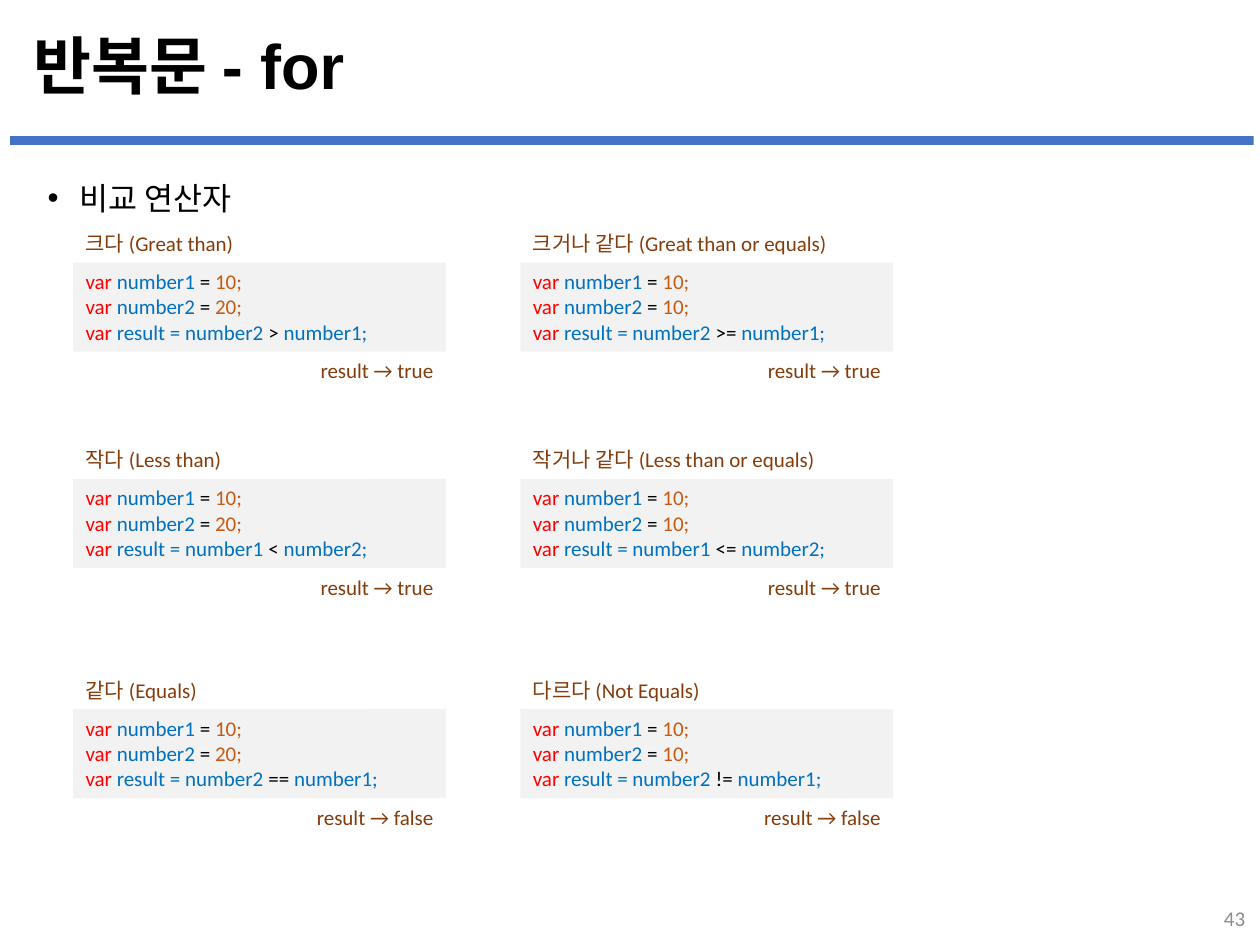
from lxml import etree
from pptx import Presentation
from pptx.dml.color import RGBColor
from pptx.enum.shapes import MSO_SHAPE
from pptx.enum.text import MSO_ANCHOR, PP_ALIGN
from pptx.oxml.ns import qn
from pptx.util import Pt

RECT = MSO_SHAPE.RECTANGLE
TOP, MIDDLE = MSO_ANCHOR.TOP, MSO_ANCHOR.MIDDLE
LEFT, RIGHT = PP_ALIGN.LEFT, PP_ALIGN.RIGHT

BLACK = RGBColor(0x00, 0x00, 0x00)
WHITE = RGBColor(0xFF, 0xFF, 0xFF)
BLUE = RGBColor(0x44, 0x72, 0xC4)
PALE_GRAY = RGBColor(0xF2, 0xF2, 0xF2)
GRAY = RGBColor(0x8C, 0x8C, 0x8C)
BROWN = RGBColor(0x84, 0x3C, 0x0B)
KEYWORD = RGBColor(0xFF, 0x00, 0x00)
NAME = RGBColor(0x00, 0x70, 0xC0)
NUMBER = RGBColor(0xC5, 0x5A, 0x11)

prs = Presentation()
prs.slide_width, prs.slide_height = Pt(720), Pt(540)
slide = prs.slides.add_slide(prs.slide_layouts[6])


def add_box(left, top, width, height, fill=None):
    """Add a plain rectangle, or a text box when there is no fill."""
    place = [Pt(v) for v in (left, top, width, height)]
    if fill is None:
        return slide.shapes.add_textbox(*place)
    box = slide.shapes.add_shape(RECT, *place)
    box.shadow.inherit = False
    box.fill.solid()
    box.fill.fore_color.rgb = fill
    box.line.fill.background()
    return box


def write(box, lines, align=LEFT, anchor=TOP, **format_values):
    """Write lines, each a list of (text, colour) runs."""
    frame = box.text_frame
    frame.word_wrap = True
    frame.vertical_anchor = anchor
    font_values = {"name": "Calibri", "size": Pt(12), **format_values}
    for i, line in enumerate(lines):
        paragraph = frame.paragraphs[0] if i == 0 else frame.add_paragraph()
        paragraph.alignment = align
        for text, color in line:
            run = paragraph.add_run()
            run.text = text
            run.font.color.rgb = color
            for key, value in font_values.items():
                setattr(run.font, key, value)
    return frame


# Title and rule
add_box(5.8, 77.8, 710.6, 5, BLUE)
title = write(add_box(12.2, 15.8, 695.5, 47.5), [[("반복문 - for", BLACK)]],
              anchor=MIDDLE, name="Arial", size=Pt(36), bold=True)
title.paragraphs[0].line_spacing = 0.9

# Bulleted topic
topic = write(add_box(20.2, 98.6, 676.8, 30), [[("비교 연산자", BLACK)]], size=Pt(18))
topic_props = topic.paragraphs[0]._p.get_or_add_pPr()
topic_props.set("marL", str(Pt(18)))
topic_props.set("indent", str(-Pt(18)))
etree.SubElement(topic_props, qn("a:buFont")).set("typeface", "Arial")
etree.SubElement(topic_props, qn("a:buChar")).set("char", "•")

# Operator examples: heading, second number, left side, operator, right side
COLUMN_LEFTS = (41.8, 297.4)
CODE_WIDTH, CODE_HEIGHT, LABEL_HEIGHT = 213, 51, 21.8
HEADING_WIDTHS = (168, CODE_WIDTH)
rows = [
    (150, "true", [("크다 (Great than)", 20, "number2", ">", "number1"),
                   ("크거나 같다 (Great than or equals)", 10, "number2", ">=", "number1")]),
    (273.6, "true", [("작다 (Less than)", 20, "number1", "<", "number2"),
                     ("작거나 같다 (Less than or equals)", 10, "number1", "<=", "number2")]),
    (405.2, "false", [("같다 (Equals)", 20, "number2", "==", "number1"),
                      ("다르다 (Not Equals)", 10, "number2", "!=", "number1")]),
]
for top, outcome, examples in rows:
    for left, heading_width, example in zip(COLUMN_LEFTS, HEADING_WIDTHS, examples):
        heading, second, first_operand, operator, last_operand = example
        code = [[("var", KEYWORD), (f" {name} ", NAME), ("= ", BLACK), (f"{value};", NUMBER)]
                for name, value in (("number1", 10), ("number2", second))]
        code.append([("var", KEYWORD), (f" result = {first_operand} ", NAME),
                     (operator, BLACK), (f" {last_operand};", NAME)])
        write(add_box(left, top, CODE_WIDTH, CODE_HEIGHT, PALE_GRAY), code)
        write(add_box(left, top + CODE_HEIGHT, CODE_WIDTH, LABEL_HEIGHT, WHITE),
              [[(f"result → {outcome}", BROWN)]], align=RIGHT)
        write(add_box(left, top - LABEL_HEIGHT, heading_width, LABEL_HEIGHT, WHITE),
              [[(heading, BROWN)]])

# Page number
write(add_box(556.6, 510.5, 162, 28.8), [[("43", GRAY)]], align=RIGHT, anchor=MIDDLE)

prs.save("out.pptx")
